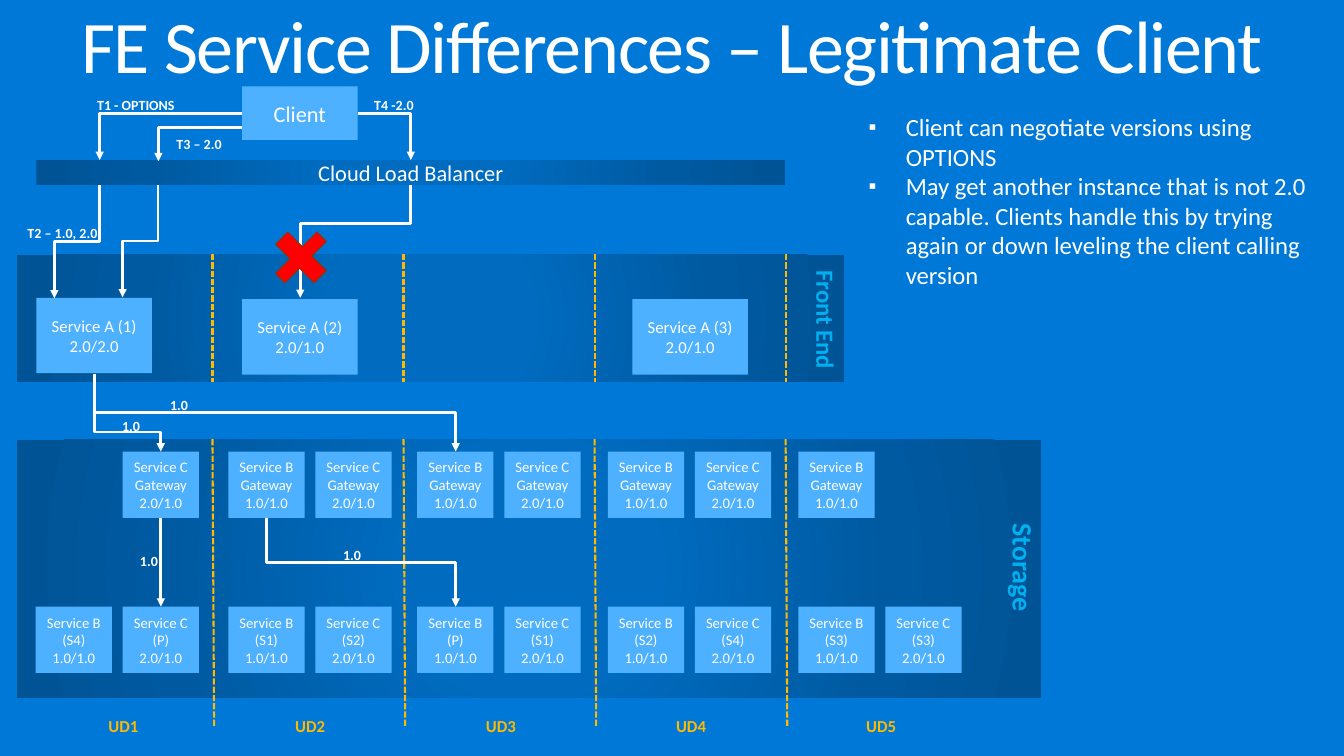
import dataclasses
import typing

import pptx
import pptx.dml.color
import pptx.enum.dml
import pptx.enum.shapes
import pptx.enum.text
import pptx.oxml
import pptx.oxml.ns
import pptx.util

Pt = pptx.util.Pt
Align = pptx.enum.text.PP_ALIGN
Anchor = pptx.enum.text.MSO_ANCHOR
Kind = pptx.enum.shapes.MSO_SHAPE
Link = pptx.enum.shapes.MSO_CONNECTOR
NS = 'xmlns:a="http://schemas.openxmlformats.org/drawingml/2006/main"'
WHITE, SKY, GOLD, CYAN = "FFFFFF", "4EB1FF", "FFB900", "00B0F0"
STOPS = ((0, "006BBF"), (23, "006BBF"), (69, "005AA1"), (97, "005496"))


class Box(typing.NamedTuple):
    x: float
    y: float
    w: float
    h: float


@dataclasses.dataclass
class Label:
    words: str
    box: Box
    size: float = 10.2
    color: str = WHITE
    turn: float = 0


@dataclasses.dataclass
class Domain:
    name: str
    left: float
    mid: float
    gates: str
    roles: tuple[str, str]


@dataclasses.dataclass
class Route:
    """Bent arrow; bend is the share of the drop before the turn, None goes sideways first."""
    x1: float
    y1: float
    x2: float
    y2: float
    bend: float | None = 0.5


deck = pptx.Presentation()
deck.slide_width, deck.slide_height = Pt(979.2), Pt(550.8)
slide = deck.slides.add_slide(deck.slide_layouts[6])
shapes = slide.shapes


def rgb(code: str) -> pptx.dml.color.RGBColor:
    return pptx.dml.color.RGBColor.from_string(code)


def node(xml: str):
    return pptx.oxml.parse_xml(xml.replace(">", f" {NS}>", 1) if "/>" not in xml[:xml.index(">") + 1]
                               else xml.replace("/>", f" {NS}/>", 1))


def write(frame, words: str, *, size: float, color: str = WHITE, bold: bool = False,
          align=Align.CENTER, anchor=Anchor.MIDDLE, pad: tuple[float, float] = (0, 0),
          space: float = 1, track: int = 0, bullet: bool = False) -> None:
    frame.word_wrap = True
    frame.vertical_anchor = anchor
    frame.margin_left = frame.margin_right = Pt(pad[0])
    frame.margin_top = frame.margin_bottom = Pt(pad[1])
    frame.text = words
    for para in frame.paragraphs:
        para.alignment, para.line_spacing = align, space
        for run in para.runs:
            font = run.font
            font.name, font.size, font.bold = "Calibri", Pt(size), bold
            font.color.rgb = rgb(color)
            if track:
                font._element.set("spc", str(track))
        if bullet:
            props = para._p.get_or_add_pPr()
            props.set("marL", str(Pt(27)))
            props.set("indent", str(Pt(-27)))
            for xml in (f'<a:buClr><a:srgbClr val="{WHITE}"/></a:buClr>', '<a:buSzPct val="90000"/>',
                        '<a:buFont typeface="Arial"/>', '<a:buChar char="▪"/>'):
                props.append(node(xml))


def text(words: str, box: Box, turn: float = 0, **style) -> None:
    area = shapes.add_textbox(*map(Pt, box))
    area.rotation = turn
    write(area.text_frame, words, **style)


def block(box: Box, fill: str = SKY, kind=Kind.RECTANGLE):
    shape = shapes.add_shape(kind, *map(Pt, box))
    shape.shadow.inherit = False
    shape.fill.solid()
    shape.fill.fore_color.rgb = rgb(fill)
    shape.line.fill.background()
    return shape


def card(words: str, box: Box, size: float):
    shape = block(box)
    write(shape.text_frame, words, size=size)
    return shape


def band(box: Box):
    """Rectangle with a round gradient."""
    shape = block(box)
    props = shape._element.spPr
    stops = "".join(f'<a:gs pos="{at * 1000}"><a:srgbClr val="{code}"/></a:gs>' for at, code in STOPS)
    fill = node(f'<a:gradFill><a:gsLst>{stops}</a:gsLst><a:path path="circle">'
                '<a:fillToRect l="50000" t="50000" r="50000" b="50000"/></a:path></a:gradFill>')
    props.replace(props.find(pptx.oxml.ns.qn("a:solidFill")), fill)
    return shape


def line(x1: float, y1: float, x2: float, y2: float, kind=Link.STRAIGHT,
         color: str = WHITE, width: float = 2, arrow: bool = True):
    link = shapes.add_connector(kind, Pt(x1), Pt(y1), Pt(x2), Pt(y2))
    link.line.color.rgb = rgb(color)
    link.line.width = Pt(width)
    if arrow:
        link.line._get_or_add_ln().append(node('<a:tailEnd type="triangle"/>'))
    link._element.spPr.append(node("<a:effectLst/>"))
    return link


def split(x1: float, y1: float, x2: float, y2: float) -> None:
    """Dashed border between two domains."""
    link = line(x1, y1, x2, y2, color=GOLD, width=1.5, arrow=False)
    link.line.dash_style = pptx.enum.dml.MSO_LINE.SQUARE_DOT


def bend(way: Route) -> None:
    if way.bend is None:
        link = line(way.x1, way.y1, way.x2, way.y2, Link.ELBOW)
        link._element.spPr.prstGeom.set("prst", "bentConnector2")
        return
    mx, my = (way.x1 + way.x2) / 2, (way.y1 + way.y2) / 2
    dx, dy = (way.x2 - way.x1) / 2, (way.y2 - way.y1) / 2
    link = line(mx - dy, my + dx, mx + dy, my - dx, Link.ELBOW)
    link.rotation = 90
    guides = link._element.spPr.prstGeom.get_or_add_avLst()
    guides.append(node(f'<a:gd name="adj1" fmla="val {round(way.bend * 100000)}"/>'))


DOMAINS = (
    Domain("UD1", 26, 90, "C", ("S4", "P")),
    Domain("UD2", 166.3, 226, "BC", ("S1", "S2")),
    Domain("UD3", 304, 365, "BC", ("P", "S1")),
    Domain("UD4", 442.8, 503.5, "BC", ("S2", "S4")),
    Domain("UD5", 581.6, 642, "B", ("S3", "S3")),
)
LEVELS = {"B": "1.0/1.0", "C": "2.0/1.0"}
ROUTES = (
    Route(176.4, 82.8, 72.7, 116.6, None),
    Route(176.4, 92.9, 115.5, 117.5, None),
    Route(260.6, 82.8, 299.3, 116.6, None),
    Route(72.7, 134.6, 39.6, 217.4),
    Route(115.2, 134.6, 89.3, 216.7),
    Route(299.3, 134.6, 218.7, 217, 0.34),
    Route(69, 272.2, 117.2, 329, 0.75),
    Route(69, 272.2, 332, 329),
    Route(194.2, 377.3, 332, 442),
)
LABELS = (
    Label("1.0", Box(115, 289.5, 31, 11)),
    Label("1.0", Box(80, 304.5, 31, 11)),
    Label("1.0", Box(93, 403.5, 31, 11)),
    Label("1.0", Box(241, 399, 31, 11)),
    Label("T1 - OPTIONS", Box(59, 71, 80, 11)),
    Label("T2 – 1.0, 2.0", Box(11, 164, 69, 12)),
    Label("T3 – 2.0", Box(105, 99, 80, 11)),
    Label("T4 -2.0", Box(263.5, 71, 47, 11)),
    Label("Front End", Box(556.5, 219.5, 91, 27), 18, CYAN, 90),
    Label("Storage", Box(652, 400, 188, 27), 20.4, CYAN, 90),
)


def main() -> None:
    slide.background.fill.solid()
    slide.background.fill.fore_color.rgb = rgb("0078D7")
    band(Box(12.3, 185.5, 602.5, 92.5))
    band(Box(12.3, 320.5, 746.5, 188))
    text("FE Service Differences – Legitimate Client", Box(0, 0, 979.2, 64), size=54,
         anchor=Anchor.TOP, pad=(11.5, 7.2), space=0.9, track=-100)
    text("Client can negotiate versions using OPTIONS\nMay get another instance that is not 2.0 "
         "capable. Clients handle this by trying again or down leveling the client calling version",
         Box(621.4, 74.2, 347.8, 246), size=18, align=Align.LEFT, anchor=Anchor.TOP,
         pad=(11.5, 7.2), bullet=True)

    for i in range(4):
        x = 154.8 + 139.2 * i
        split(x, 185.2, x, 278.2)
        split(x, 320, x + 1.2, 529)

    for i, (x, y, level) in enumerate(((26.6, 217, "2.0"), (176.4, 218, "1.0"), (460.8, 218, "1.0"))):
        card(f"Service A ({i + 1})\v2.0/{level}", Box(x, y, 84.2, 55), 12.2)

    cards = {}
    for area in DOMAINS:
        for i, unit in enumerate("BC"):
            x = area.left + 63.4 * i
            rows = [(442, f"({area.roles[i]})")]
            if unit in area.gates:
                rows.append((329, "Gateway"))
            for y, role in rows:
                cards[area.name, unit, y] = card(f"Service {unit}\n{role}\n{LEVELS[unit]}",
                                                 Box(x, y, 55.6, 48.3), 10.7)
        text(area.name, Box(area.mid - 60, 518.5, 120, 21), size=12.2, color=GOLD, bold=True)

    card("Client", Box(176.4, 63, 84.2, 39), 16.3)
    hub = band(Box(26.6, 116.6, 545.5, 18))
    write(hub.text_frame, "Cloud Load Balancer", size=16.3)

    for way in ROUTES:
        bend(way)
    link = line(117.2, 377.3, 117.2, 442)
    link.begin_connect(cards["UD1", "C", 329], 2)
    link.end_connect(cards["UD1", "C", 442], 0)

    for tag in LABELS:
        text(tag.words, tag.box, tag.turn, size=tag.size, color=tag.color, bold=True)

    cross = block(Box(198, 167.8, 42.5, 39.6), "FF0000", Kind.CROSS)
    cross.adjustments[0] = 0.38
    cross.rotation = 315
    cross.line.color.rgb = rgb("A02C01")
    cross.line.width = Pt(0.85)
    deck.save("out.pptx")


if __name__ == "__main__":
    main()
